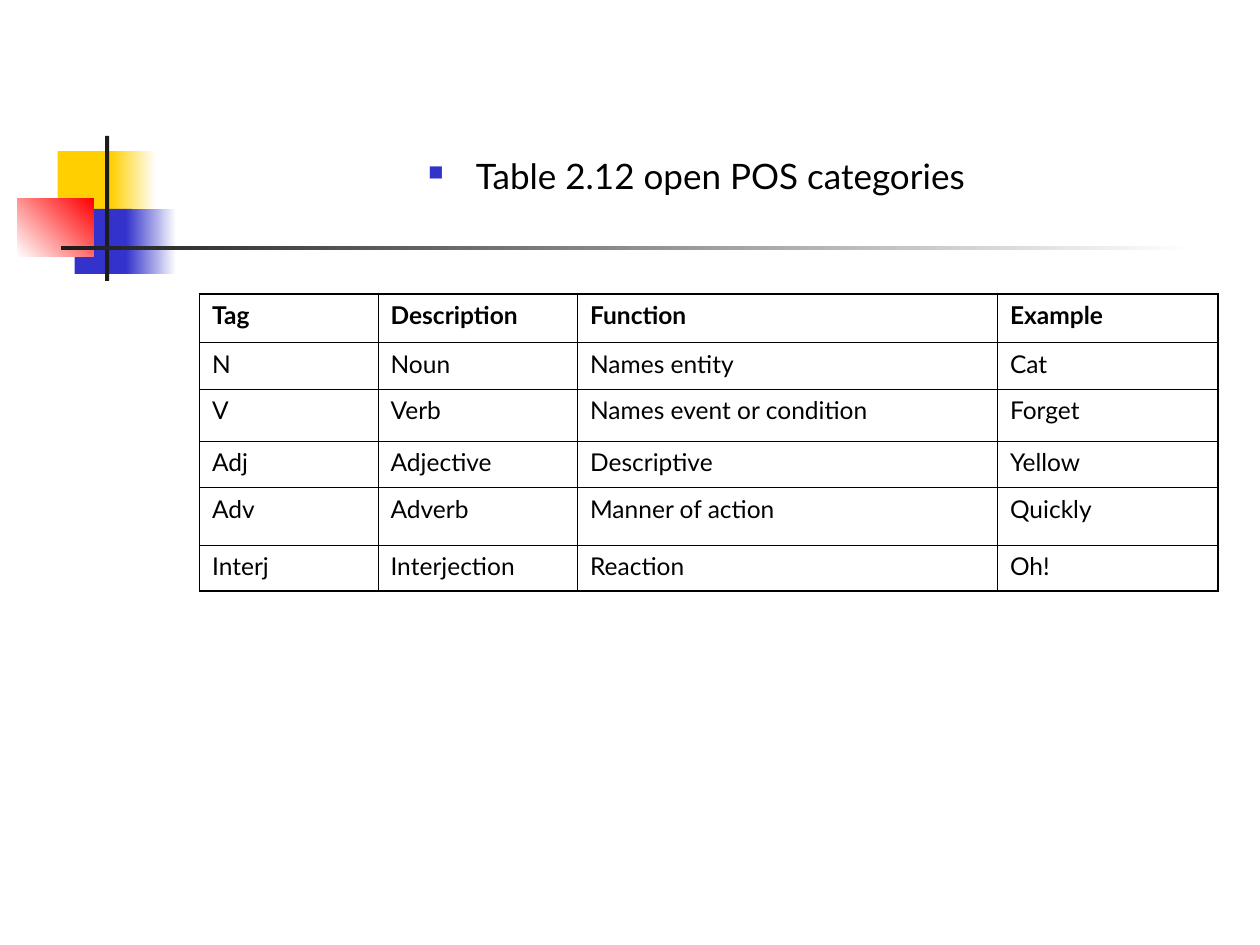
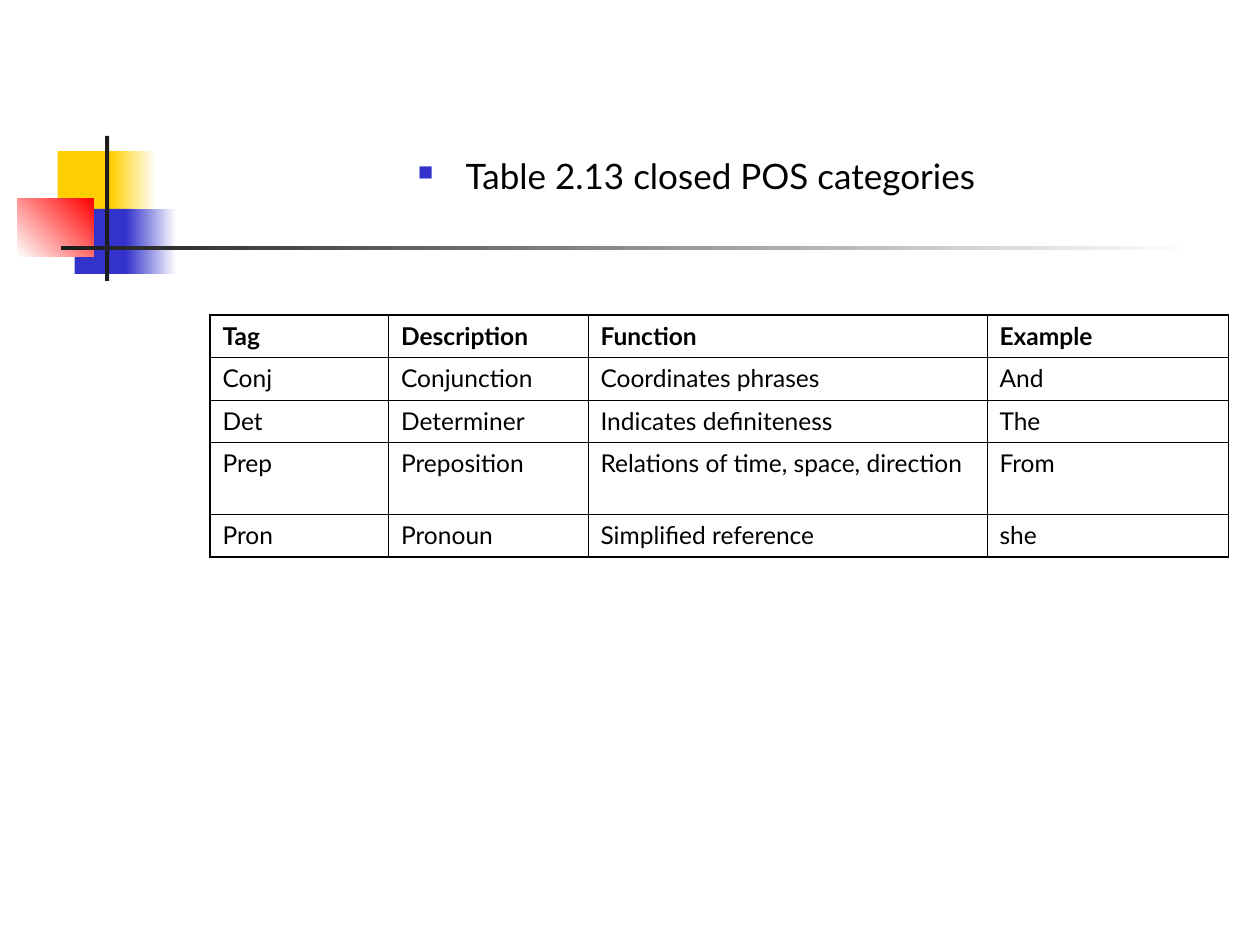
from dataclasses import dataclass

from lxml.etree import SubElement
from pptx import Presentation
from pptx.dml.color import RGBColor
from pptx.enum.shapes import MSO_SHAPE
from pptx.enum.text import PP_ALIGN
from pptx.oxml.ns import qn
from pptx.util import Emu, Inches, Pt


@dataclass(frozen=True)
class Theme:
    font: str = "Lato"
    ink: str = "000000"
    dark: str = "1C1C1C"
    gold: str = "FFCF01"
    blue: str = "3333CC"
    red: str = "FF0000"
    white: str = "FFFFFF"
    title: float = 20
    body: float = 14
    thin: float = 0.45
    thick: float = 1.08


theme = Theme()
deck = Presentation()
deck.slide_width = Inches(10)
deck.slide_height = Inches(7.5)
unit = deck.slide_width / 120


def node(base, tag, **attrs):
    return SubElement(base, qn(tag), {key: str(val) for key, val in attrs.items()})


def write(para, text, size, bold=False):
    run = para.add_run()
    run.text = text
    run.font.name = theme.font
    run.font.size = Pt(size)
    run.font.bold = bold
    run.font.color.rgb = RGBColor.from_string(theme.ink)


marks = [
    ((5.5, 14.4, 5.8, 6.2), [theme.gold], 0),
    ((10.55, 14.4, 4.3, 6.2), [theme.gold, theme.white], 0),
    ((7.1, 19.9, 5.5, 6.2), [theme.blue], 0),
    ((12, 19.9, 4.8, 6.2), [theme.blue, theme.white], 0),
    ((1.65, 18.95, 7.3, 5.5), [theme.white, theme.red], 45),
    ((10, 12.95, 0.4, 13.8), [theme.dark], 0),
    ((5.8, 23.4, 108, 0.4), [theme.dark, theme.white], 0),
]
head = ["Tag", "Description", "Function", "Example"]
pages = [
    {
        "title": "Table 2.12 open POS categories",
        "place": (19, 28),
        "cols": [17, 19, 40, 21],
        "rows": [4.65, 4.4, 5, 4.4, 5.45, 4.4],
        "data": [
            ["N", "Noun", "Names entity", "Cat"],
            ["V", "Verb", "Names event or condition", "Forget"],
            ["Adj", "Adjective", "Descriptive", "Yellow"],
            ["Adv", "Adverb", "Manner of action", "Quickly"],
            ["Interj", "Interjection", "Reaction", "Oh!"],
        ],
    },
    {
        "title": "Table 2.13 closed POS categories",
        "place": (20, 30),
        "cols": [17, 19, 38, 23],
        "rows": [4.05, 4.05, 4.05, 6.85, 4.05],
        "data": [
            ["Conj", "Conjunction", "Coordinates phrases", "And"],
            ["Det", "Determiner", "Indicates definiteness", "The"],
            ["Prep", "Preposition", "Relations of time, space, direction", "From"],
            ["Pron", "Pronoun", "Simplified reference", "she"],
        ],
    },
]

for page in pages:
    slide = deck.slides.add_slide(deck.slide_layouts[6])

    for place, tints, angle in marks:
        mark = slide.shapes.add_shape(
            MSO_SHAPE.RECTANGLE, *[Emu(round(n * unit)) for n in place]
        )
        mark.shadow.inherit = False
        mark.line.fill.background()
        if len(tints) == 1:
            mark.fill.solid()
            mark.fill.fore_color.rgb = RGBColor.from_string(tints[0])
        else:
            mark.fill.gradient()
            mark.fill.gradient_angle = angle
            for stop, tint in zip(mark.fill.gradient_stops, tints):
                stop.color.rgb = RGBColor.from_string(tint)

    place = (15.35, 14.15, 102, 5.2)
    box = slide.shapes.add_textbox(*[Emu(round(n * unit)) for n in place])
    box.text_frame.word_wrap = True
    para = box.text_frame.paragraphs[0]
    para.alignment = PP_ALIGN.CENTER
    props = para._p.get_or_add_pPr()
    props.set("marL", str(Inches(0.38)))
    props.set("indent", str(-Inches(0.38)))
    node(node(props, "a:buClr"), "a:srgbClr", val=theme.blue)
    node(props, "a:buSzPct", val=60000)
    node(props, "a:buChar", char="■")
    write(para, page["title"], theme.title)

    cols, rows = page["cols"], page["rows"]
    place = (*page["place"], sum(cols), sum(rows))
    table = slide.shapes.add_table(
        len(rows), len(cols), *[Emu(round(n * unit)) for n in place]
    ).table
    table.first_row = False
    table.horz_banding = False
    for col, width in zip(table.columns, cols):
        col.width = Emu(round(width * unit))
    for row, height in zip(table.rows, rows):
        row.height = Emu(round(height * unit))

    for r, line in enumerate([head, *page["data"]]):
        for c, text in enumerate(line):
            cell = table.cell(r, c)
            write(cell.text_frame.paragraphs[0], text, theme.body, r == 0)
            props = cell._tc.get_or_add_tcPr()
            edges = {
                "L": c == 0,
                "R": c == len(cols) - 1,
                "T": r == 0,
                "B": r == len(rows) - 1,
            }
            for side, outer in edges.items():
                width = Pt(theme.thick if outer else theme.thin)
                edge = node(props, "a:ln" + side, w=width)
                node(node(edge, "a:solidFill"), "a:srgbClr", val=theme.ink)
            cell.fill.background()

deck.save("out.pptx")
